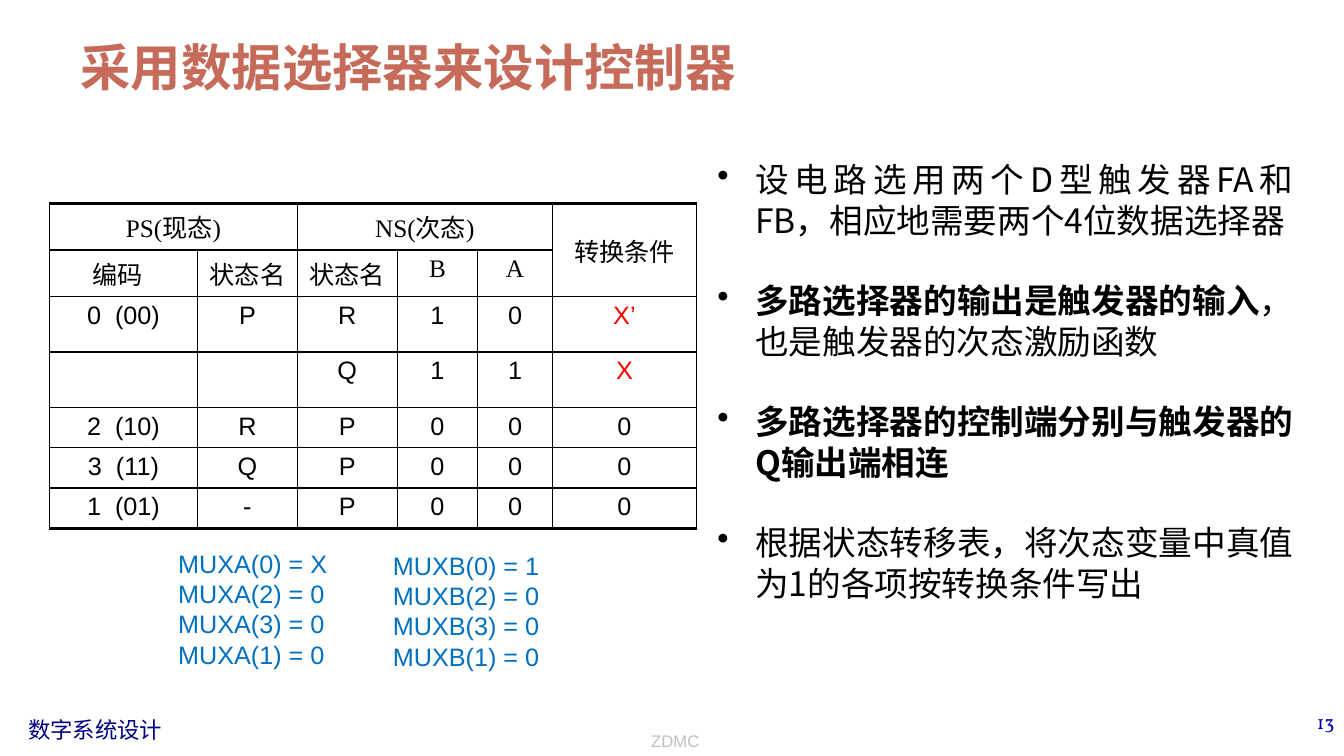
import pptx
import pptx.dml.color
import pptx.enum.text
import pptx.oxml
import pptx.oxml.ns
import pptx.util
from lxml import etree

Pt = pptx.util.Pt
RGBColor = pptx.dml.color.RGBColor
ALIGN = pptx.enum.text.PP_ALIGN
ANCHOR = pptx.enum.text.MSO_ANCHOR
qn = pptx.oxml.ns.qn

BLACK = RGBColor(0, 0, 0)
RED = RGBColor(0xFF, 0, 0)
BLUE = RGBColor(0, 0x70, 0xC0)
NAVY = RGBColor(0, 0, 0x82)
PAGE_BLUE = RGBColor(0, 0, 0xB6)
GREY = RGBColor(0xC0, 0xC0, 0xC0)
BRICK = RGBColor(0xC6, 0x6B, 0x5A)
SANS = "Noto Sans CJK SC"


def style(para, size, face, color, align=ALIGN.LEFT, bold=False):
    """Set the paragraph's font for both Latin and Chinese text."""
    para.alignment = align
    para.font.size = Pt(size)
    para.font.bold = bold
    para.font.color.rgb = color
    para.font.name = face
    defaults = para._p.get_or_add_pPr().get_or_add_defRPr()
    etree.SubElement(defaults, qn("a:ea")).set("typeface", SANS)


def add_text(left, top, width, height, lines, size, face, color,
             align=ALIGN.LEFT, anchor=ANCHOR.TOP, bold=False):
    box = page.shapes.add_textbox(Pt(left), Pt(top), Pt(width), Pt(height))
    frame = box.text_frame
    frame.word_wrap = True
    frame.vertical_anchor = anchor
    frame.text = "\n".join(lines)
    for para in frame.paragraphs:
        style(para, size, face, color, align, bold)
    return frame


deck = pptx.Presentation()
deck.slide_width, deck.slide_height = Pt(960), Pt(540)
page = deck.slides.add_slide(deck.slide_layouts[6])

# Title and footer
add_text(50.4, 18, 735, 54.7, ["采用数据选择器来设计控制器"], 36, SANS, BRICK,
         anchor=ANCHOR.BOTTOM, bold=True)
add_text(13, 508.3, 120, 26.6, ["数字系统设计"], 16, "Times New Roman", NAVY)
add_text(760.3, 503.3, 200, 36, ["13"], 14, "Vollkorn", PAGE_BLUE, ALIGN.RIGHT)
add_text(248.4, 503.3, 468, 36.7, ["ZDMC"], 12, "Arial", GREY, ALIGN.CENTER, ANCHOR.BOTTOM)

# State transition table
states = [
    ["PS(现态)", "", "NS(次态)", "", "", "转换条件"],
    ["编码", "状态名", "状态名", "B", "A", ""],
    ["0  (00)", "P", "R", "1", "0", "X’"],
    ["", "", "Q", "1", "1", "X"],
    ["2  (10)", "R", "P", "0", "0", "0"],
    ["3  (11)", "Q", "P", "0", "0", "0"],
    ["1  (01)", "-", "P", "0", "0", "0"],
]
widths = [105.8, 71.3, 71.3, 57.6, 53.3, 103]
heights = [33.2, 33.2, 39.6, 39.6, 28.1, 28.1, 28.1]
table = page.shapes.add_table(len(heights), len(widths), Pt(35.3), Pt(145.4),
                              Pt(sum(widths)), Pt(sum(heights))).table
table.first_row = table.horz_banding = False
for column, width in zip(table.columns, widths):
    column.width = Pt(width)
for row, height in zip(table.rows, heights):
    row.height = Pt(height)

last_row = len(states) - 1
for r, texts in enumerate(states):
    for c, text in enumerate(texts):
        cell = table.cell(r, c)
        cell.text = text
        style(cell.text_frame.paragraphs[0], 18, "Times New Roman" if r < 2 else "Arial",
              RED if text.startswith("X") else BLACK, ALIGN.CENTER)
        properties = cell._tc.get_or_add_tcPr()
        for side in "LRTB":
            heavy = (side, r) in (("T", 0), ("B", last_row))
            line = etree.SubElement(properties, qn("a:ln" + side))
            line.set("w", str(Pt(2 if heavy else 1)))
            fill = etree.SubElement(line, qn("a:solidFill"))
            etree.SubElement(fill, qn("a:srgbClr")).set("val", str(BLACK))
        cell.fill.background()
table.cell(0, 0).merge(table.cell(0, 1))
table.cell(0, 2).merge(table.cell(0, 4))
table.cell(0, 5).merge(table.cell(1, 5))
table.cell(0, 5).vertical_anchor = ANCHOR.MIDDLE
table.cell(1, 0).margin_right = Pt(16)

# Explanation: each point is a bold part and a plain part
points = [
    ("", "设电路选用两个D型触发器FA和FB，相应地需要两个4位数据选择器"),
    ("多路选择器的输出是触发器的输入", "，也是触发器的次态激励函数"),
    ("多路选择器的控制端分别与触发器的Q输出端相连", ""),
    ("", "根据状态转移表，将次态变量中真值为1的各项按转换条件写出"),
]
frame = add_text(505.4, 110.2, 425.5, 326.9, [""] * len(points), 24, SANS, BLACK, ALIGN.JUSTIFY)
for number, (para, parts) in enumerate(zip(frame.paragraphs, points)):
    for text, bold in zip(parts, (True, False)):
        if text:
            span = para.add_run()
            span.text = text
            span.font.bold = bold
    para.line_spacing = Pt(28.8)
    para.space_before = Pt(28.8 if number else 0)
    properties = para._p.get_or_add_pPr()
    properties.set("marL", str(Pt(27)))
    properties.set("indent", str(-Pt(27)))
    bullet = pptx.oxml.parse_xml(
        '<a:buChar xmlns:a="http://schemas.openxmlformats.org/drawingml/2006/main" char="•"/>')
    properties.find(qn("a:defRPr")).addprevious(bullet)

# Multiplexer inputs, in the order of the table's states
for name, left, top, first in (("A", 120.2, 388.1, "X"), ("B", 273.6, 389.5, "1")):
    inputs = zip((0, 2, 3, 1), (first, "0", "0", "0"))
    add_text(left, top, 122.4, 94.3, [f"MUX{name}({code}) = {value}" for code, value in inputs],
             18, "Arial", BLUE)

deck.save("out.pptx")
